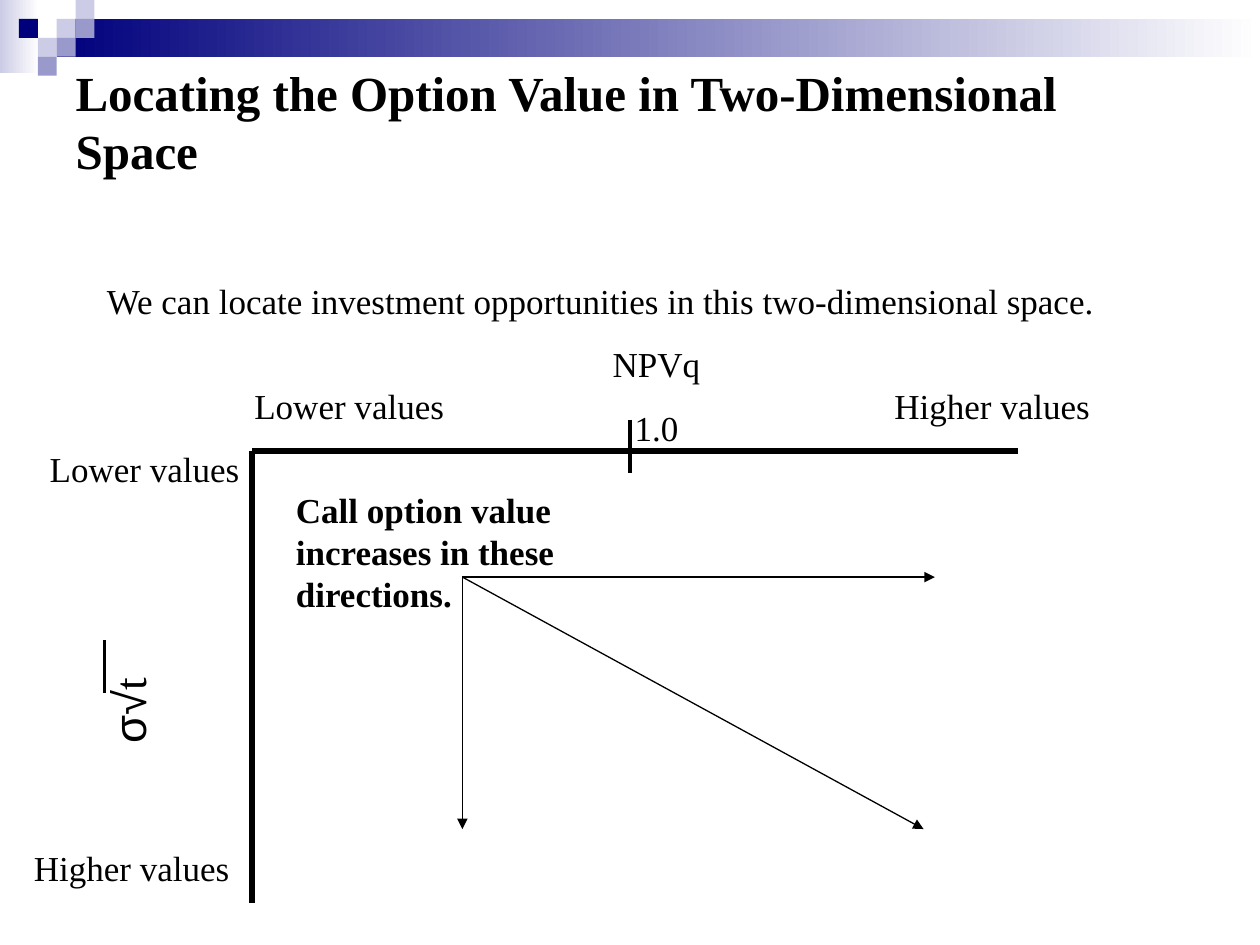
from dataclasses import dataclass

from lxml import etree
from pptx import Presentation
from pptx.dml import color
from pptx.enum import shapes, text
from pptx.oxml import ns
from pptx.util import Inches, Pt


@dataclass(frozen=True)
class Theme:
    ink: str = "000000"
    white: str = "FFFFFF"
    navy: str = "00007D"
    lilac: str = "CCCCE6"
    violet: str = "9999CC"
    serif: str = "Times New Roman"
    sans: str = "Arial"
    title: float = 28
    body: float = 20
    symbol: float = 26
    gap: float = 12.5


@dataclass(frozen=True)
class Label:
    words: str
    left: float
    top: float
    width: float
    height: float = 0.44
    align: text.PP_ALIGN = text.PP_ALIGN.LEFT
    bold: bool = False


@dataclass(frozen=True)
class Line:
    start: tuple[float, float]
    end: tuple[float, float]
    weight: float
    arrow: bool = False


THEME = Theme()
RIGHT, CENTER = text.PP_ALIGN.RIGHT, text.PP_ALIGN.CENTER
CORNER = (2, 3.58)
ARROW_START = (3.67, 4.58)
CELL = 0.15

BANDS = [  # left, top, width, height, colour fading to white
    (0, 0, 0.31, 0.58, THEME.lilac),
    (0.45, 0.15, 9.55, 0.3, THEME.navy),
]
SQUARES = [  # column, row, colour
    (3, 1, THEME.lilac), (4, 0, THEME.lilac), (4, 1, THEME.violet),
    (2, 2, THEME.lilac), (1, 1, THEME.navy), (3, 2, THEME.violet),
    (2, 3, THEME.violet),
]
LABELS = [
    Label("We can locate investment opportunities in this two-dimensional space.",
          0.75, 2.17, 8.67),
    Label("Lower values", 1.92, 3, 1.75),
    Label("Lower values", 0, 3.5, 2, align=RIGHT),
    Label("NPVq\n1.0", 4.5, 2.67, 1.42, 0.94, CENTER),
    Label("Higher values", 7, 3, 1.75, 0.77),
    Label("Higher values", 0, 6.67, 1.92, align=RIGHT),
    Label("Call option value increases in these directions.",
          2.25, 3.83, 3.17, 1.1, bold=True),
]
LINES = [
    Line(CORNER, (2, 7.17), 3),
    Line(CORNER, (8.08, 3.58), 3),
    Line((5, 3.33), (5, 3.75), 2),
    Line((0.83, 5.5), (0.83, 5.08), 1.5),  # bar of the root sign
    Line(ARROW_START, (7.42, 4.58), 0.75, True),
    Line(ARROW_START, (7.33, 6.58), 0.75, True),
    Line(ARROW_START, (3.67, 6.58), 0.75, True),
]


def rgb(value: str) -> color.RGBColor:
    return color.RGBColor.from_string(value)


def style_font(font, size: float, name: str = THEME.serif, bold: bool = False) -> None:
    font.size, font.name, font.bold = Pt(size), name, bold
    font.color.rgb = rgb(THEME.ink)


def add_block(slide, left: float, top: float, width: float, height: float,
              fill: str, fades: bool = False) -> None:
    shape = slide.shapes.add_shape(shapes.MSO_SHAPE.RECTANGLE, Inches(left),
                                   Inches(top), Inches(width), Inches(height))
    shape.shadow.inherit = False
    shape.line.fill.background()
    if fades:
        shape.fill.gradient()
        shape.fill.gradient_angle = 0
        for stop, value in zip(shape.fill.gradient_stops, (fill, THEME.white)):
            stop.color.rgb = rgb(value)
    else:
        shape.fill.solid()
        shape.fill.fore_color.rgb = rgb(fill)


def add_label(slide, label: Label):
    shape = slide.shapes.add_textbox(Inches(label.left), Inches(label.top),
                                     Inches(label.width), Inches(label.height))
    frame = shape.text_frame
    frame.word_wrap = True
    frame.text = label.words
    for index, paragraph in enumerate(frame.paragraphs):
        paragraph.alignment = label.align
        if index:
            paragraph.space_before = Pt(THEME.gap)
        for run in paragraph.runs:
            style_font(run.font, THEME.body, bold=label.bold)
    return shape


def add_line(slide, line: Line) -> None:
    connector = slide.shapes.add_connector(
        shapes.MSO_CONNECTOR.STRAIGHT, *map(Inches, line.start + line.end))
    connector.line.width = Pt(line.weight)
    connector.line.color.rgb = rgb(THEME.ink)
    properties = connector._element.spPr
    if line.arrow:
        outline = properties.find(ns.qn("a:ln"))
        etree.SubElement(outline, ns.qn("a:tailEnd"), type="triangle")
    etree.SubElement(properties, ns.qn("a:effectLst"))


def add_title(slide, words: str) -> None:
    title = slide.shapes.title
    title.left, title.top = Inches(0.5), Inches(0.5)
    title.width, title.height = Inches(9), Inches(0.92)
    frame = title.text_frame
    frame.text = words
    frame.auto_size = text.MSO_AUTO_SIZE.NONE
    frame.vertical_anchor = text.MSO_ANCHOR.MIDDLE
    frame.paragraphs[0].alignment = text.PP_ALIGN.LEFT
    style_font(frame.paragraphs[0].runs[0].font, THEME.title, bold=True)


def add_axis_symbol(slide) -> None:
    shape = add_label(slide, Label("σ√", 0.56, 5.27, 0.92, 0.54))
    shape.rotation = 270
    paragraph = shape.text_frame.paragraphs[0]
    paragraph.add_run().text = "t"
    for run, name in zip(paragraph.runs, (THEME.sans, THEME.serif)):
        style_font(run.font, THEME.symbol, name)


def main() -> None:
    presentation = Presentation()
    presentation.slide_width, presentation.slide_height = Inches(10), Inches(7.5)
    slide = presentation.slides.add_slide(presentation.slide_layouts[5])

    # Banner with its chequered corner
    for left, top, width, height, fill in BANDS:
        add_block(slide, left, top, width, height, fill, fades=True)
    for column, row, fill in SQUARES:
        add_block(slide, column * CELL, row * CELL, CELL, CELL, fill)

    # Title and labels
    add_title(slide, "Locating the Option Value in Two-Dimensional Space")
    for label in LABELS:
        add_label(slide, label)
    add_axis_symbol(slide)

    # Axes, tick, root bar and arrows
    for line in LINES:
        add_line(slide, line)

    presentation.save("out.pptx")


if __name__ == "__main__":
    main()
